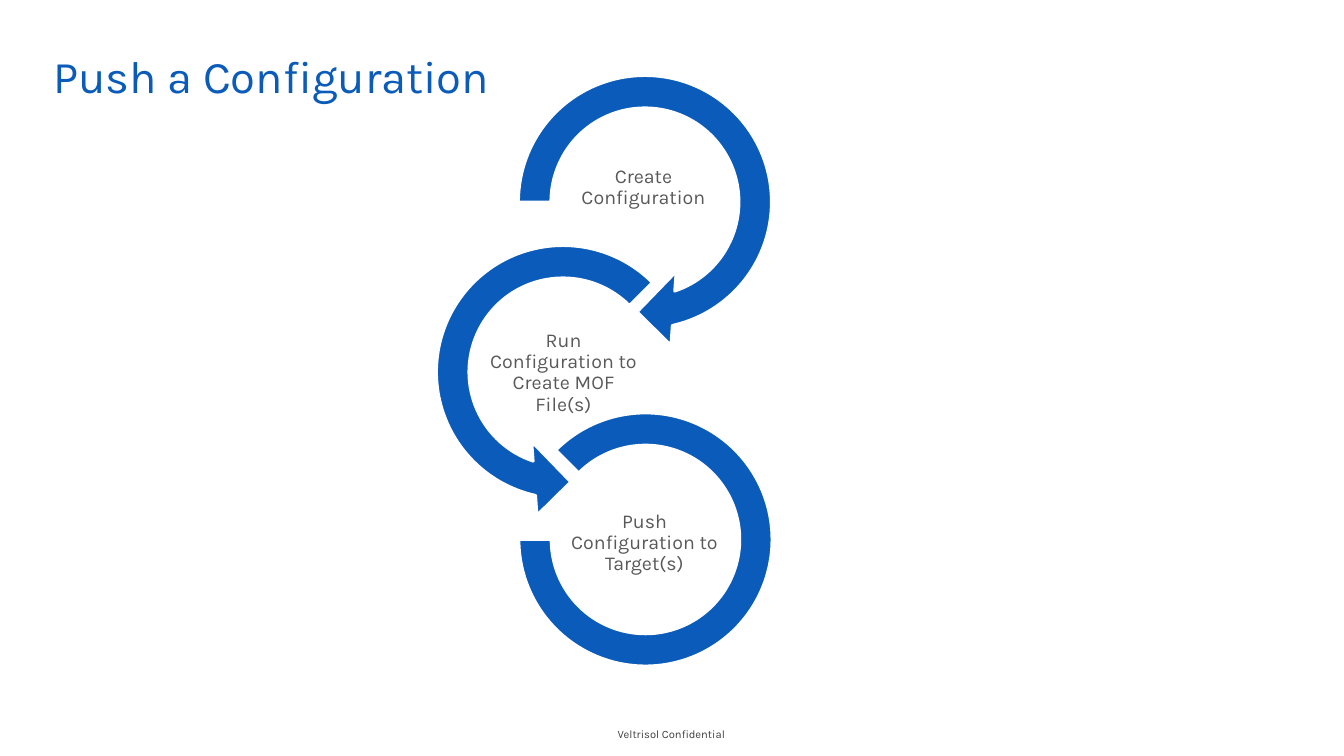
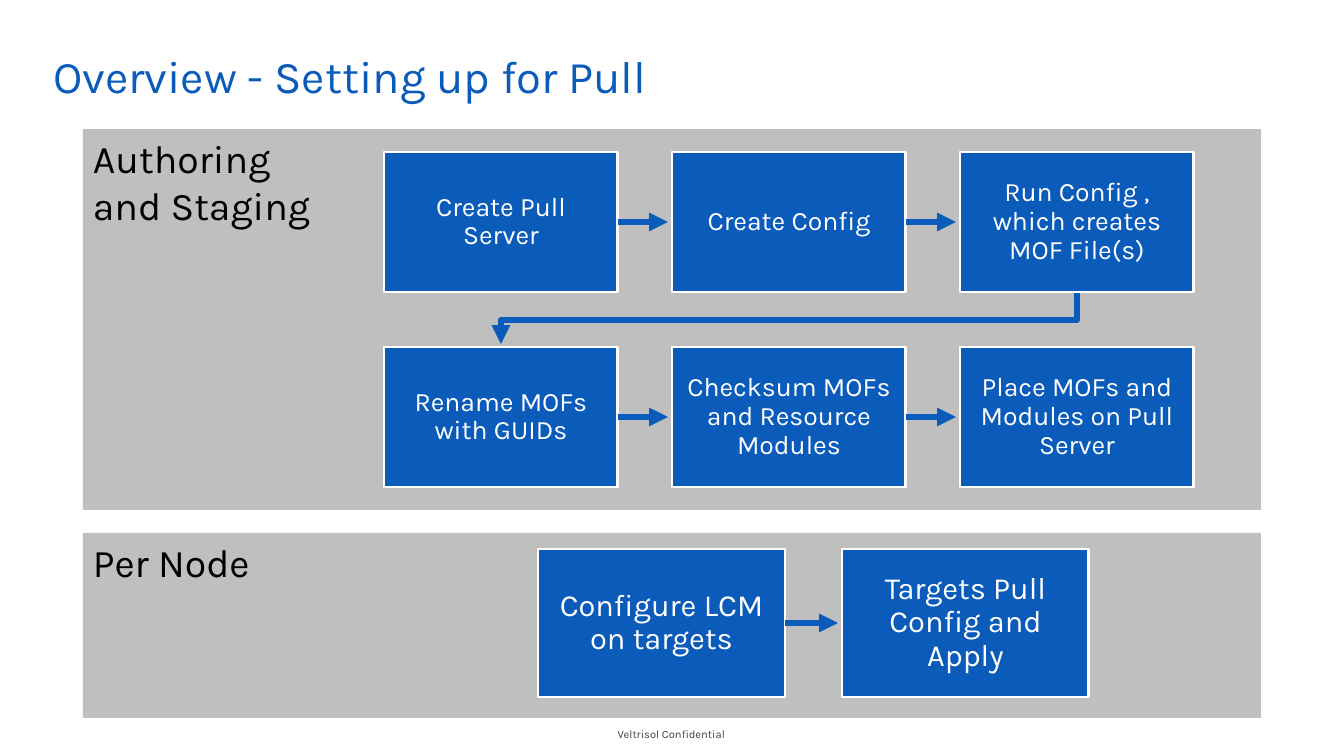
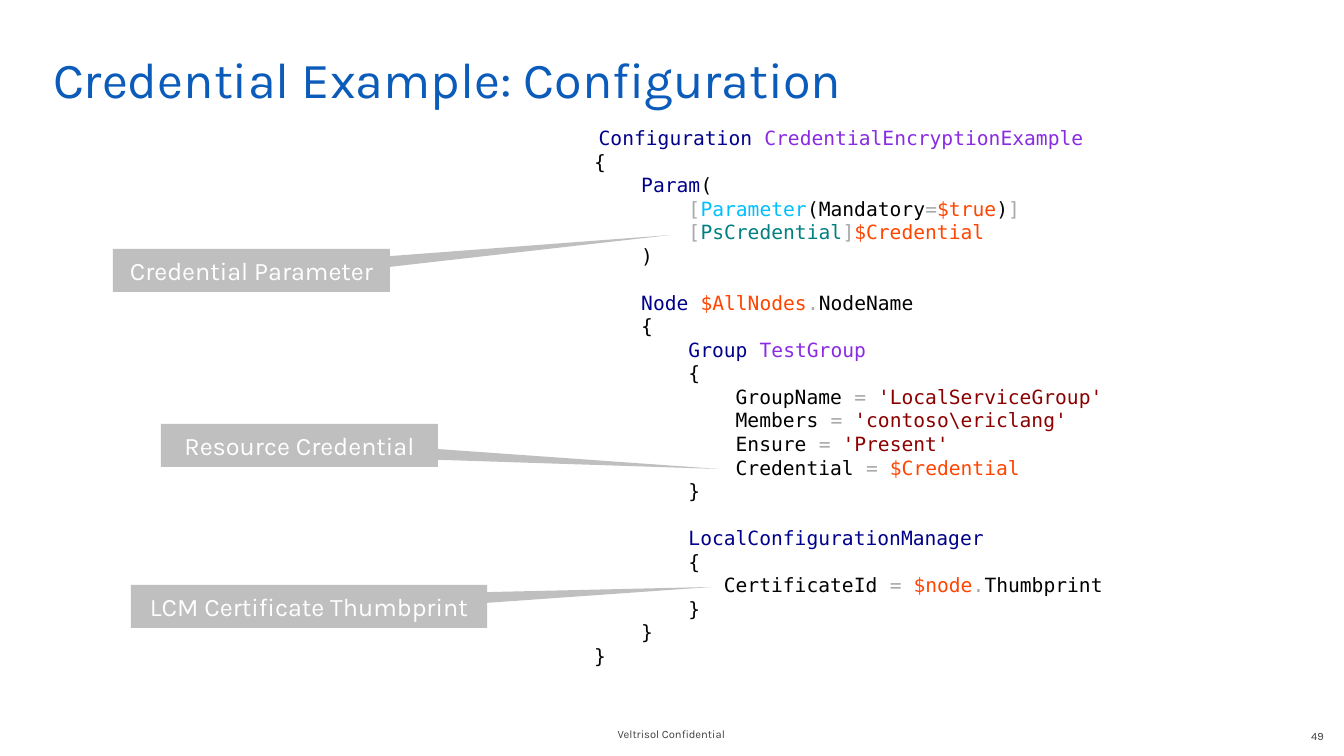
from lxml.etree import SubElement
from pptx import Presentation
from pptx.dml.color import RGBColor
from pptx.enum.shapes import MSO_CONNECTOR, MSO_SHAPE
from pptx.enum.text import MSO_ANCHOR, MSO_AUTO_SIZE, PP_ALIGN
from pptx.oxml.ns import qn
from pptx.util import Emu, Pt

EMU_PER_PX = 914400 / 100.8
SLIDE_WIDTH, SLIDE_HEIGHT = 1344, 756
FONT, CODE_FONT = "Karla", "DejaVu Sans Mono"
BLUE, GREY, WHITE, BLACK = "0A5BBA", "BFBFBF", "FFFFFF", "000000"
LABEL_GREY, FOOTER_GREY = "595959", "3F3F3F"
KEYWORD, NAME, PUNCTUATION, ATTRIBUTE = "00008B", "8A2BE2", "A9A9A9", "00BFFF"
TYPE, VARIABLE, STRING, PLAIN = "008080", "FF4500", "8B0000", BLACK
DEFAULT_INSETS = (10, 5, 10, 5)


def px(*lengths):
    return [Emu(round(length * EMU_PER_PX)) for length in lengths]


def rgb(value):
    return RGBColor.from_string(value)


def set_font(font, size, colour, name=FONT):
    font.name, font.size, font.color.rgb = name, Pt(size), rgb(colour)


def format_frame(frame, anchor, insets):
    frame.word_wrap = True
    frame.auto_size = MSO_AUTO_SIZE.NONE
    frame.vertical_anchor = anchor
    (frame.margin_left, frame.margin_top,
     frame.margin_right, frame.margin_bottom) = px(*insets)


def write(shape, text, size, colour, align=PP_ALIGN.CENTER, anchor=MSO_ANCHOR.MIDDLE,
          insets=DEFAULT_INSETS, spacing=None):
    """Fill a shape with text, one paragraph for each line."""
    frame = shape.text_frame
    format_frame(frame, anchor, insets)
    frame.text = text
    for paragraph in frame.paragraphs:
        paragraph.alignment = align
        if spacing:
            paragraph.line_spacing = spacing
        set_font(paragraph.font, size, colour)


def add_text(slide, box, text, size, colour, **options):
    write(slide.shapes.add_textbox(*px(*box)), text, size, colour, **options)


def add_block(slide, kind, box, fill, outline=None, adjustments=()):
    shape = slide.shapes.add_shape(kind, *px(*box))
    shape.shadow.inherit = False
    shape.fill.solid()
    shape.fill.fore_color.rgb = rgb(fill)
    if outline:
        shape.line.color.rgb = rgb(outline)
        shape.line.width = Pt(2)
    else:
        shape.line.fill.background()
    for index, value in enumerate(adjustments):
        shape.adjustments[index] = value
    return shape


def format_arrow(line):
    line.color.rgb = rgb(BLUE)
    line.width = Pt(4.5)
    SubElement(line._get_or_add_ln(), qn("a:tailEnd"), type="triangle")


def add_arrow(slide, left, y, length):
    arrow = slide.shapes.add_connector(
        MSO_CONNECTOR.STRAIGHT, *px(left, y, left + length, y))
    format_arrow(arrow.line)
    SubElement(arrow._element.spPr, qn("a:effectLst"))


def add_bent_arrow(slide, start, *points):
    builder = slide.shapes.build_freeform(*start, scale=EMU_PER_PX)
    builder.add_line_segments(points, close=False)
    arrow = builder.convert_to_shape()
    arrow.shadow.inherit = False
    arrow.fill.background()
    format_arrow(arrow.line)


def add_panel(slide, top, height, text):
    panel = add_block(slide, MSO_SHAPE.RECTANGLE, (83, top, 1178, height), GREY)
    write(panel, text, 28, BLACK, align=PP_ALIGN.LEFT, anchor=MSO_ANCHOR.TOP)


def add_step_row(slide, labels, left, top, width, height, gap, size, inset):
    """Draw equal boxes in a row with an arrow in each gap."""
    for index, label in enumerate(labels):
        x = left + index * (width + gap)
        box = add_block(slide, MSO_SHAPE.RECTANGLE, (x, top, width, height), BLUE, WHITE)
        write(box, label, size, WHITE, insets=[inset] * 4, spacing=0.9)
        if index:
            add_arrow(slide, x - gap, top + height // 2, gap - 4)


def add_callout(slide, left, top, width, tip, text):
    height = 43
    adjustments = ((tip[0] - left) / width - 0.5, (tip[1] - top) / height - 0.5)
    callout = add_block(slide, MSO_SHAPE.RECTANGULAR_CALLOUT,
                        (left, top, width, height), GREY, adjustments=adjustments)
    write(callout, text, 18, WHITE)


def add_code(slide, box, lines):
    """Write lines of (colour, text) tokens in the code font."""
    frame = slide.shapes.add_textbox(*px(*box)).text_frame
    format_frame(frame, MSO_ANCHOR.TOP, DEFAULT_INSETS)
    for index, tokens in enumerate(lines):
        paragraph = frame.paragraphs[0] if index == 0 else frame.add_paragraph()
        set_font(paragraph.font, 14, PLAIN, CODE_FONT)
        for colour, text in tokens:
            run = paragraph.add_run()
            run.text = text
            run.font.color.rgb = rgb(colour)
    frame.paragraphs[0].runs[0].font.name = FONT


def plain(text):
    return [(PLAIN, text)]


def assignment(target, *value):
    return [(PLAIN, target), (PUNCTUATION, " = "), *value]


def add_slide(presentation, title, title_size=32.4):
    slide = presentation.slides.add_slide(presentation.slide_layouts[5])
    heading = slide.shapes.title
    heading.left, heading.top, heading.width, heading.height = px(33, 33, 1243, 76)
    write(heading, title, title_size, BLUE, align=PP_ALIGN.LEFT,
          anchor=MSO_ANCHOR.TOP, insets=(20, 15, 10, 5))
    add_text(slide, (515, 714, 313, 40), "Veltrisol Confidential", 8, FOOTER_GREY,
             insets=(20, 5, 20, 5))
    return slide


def build_push_slide(presentation):
    slide = add_slide(presentation, "Push a Configuration")
    rings = [
        (MSO_SHAPE.CIRCULAR_ARROW, (498, 55, 294, 294), (0.11, 11.42, 45, 108, 0.125),
         (562, 147), "Create Configuration"),
        (MSO_SHAPE.LEFT_CIRCULAR_ARROW, (416, 225, 294, 294), (0.11, 11.42, 63, 189, 0.125),
         (482, 332), "Run Configuration to Create MOF File(s)"),
        (MSO_SHAPE.BLOCK_ARC, (519, 413, 253, 253), (135, 108, 0.127),
         (563, 502), "Push Configuration to Target(s)"),
    ]
    for kind, box, adjustments, label_corner, label in rings:
        add_block(slide, kind, box, BLUE, WHITE, adjustments)
        add_text(slide, (*label_corner, 163, 82), label, 14, LABEL_GREY,
                 insets=(1, 1, 1, 1), spacing=0.9)


def build_pull_slide(presentation):
    slide = add_slide(presentation, "Overview - Setting up for Pull")
    add_panel(slide, 533, 185, "Per Node")
    add_panel(slide, 129, 381, "Authoring\nand Staging")
    authoring_rows = [
        ["Create Pull Server", "Create Config", "Run Config , which creates MOF File(s)"],
        ["Rename MOFs with GUIDs", "Checksum MOFs and Resource Modules",
         "Place MOFs and Modules on Pull Server"],
    ]
    for index, labels in enumerate(authoring_rows):
        add_step_row(slide, labels, 384, 152 + index * 195, 234, 140, 54, 19, 15)
    add_bent_arrow(slide, (1077, 293), (1077, 320), (501, 320), (501, 344))
    add_step_row(slide, ["Configure LCM on targets", "Targets Pull Config and Apply"],
                 538, 549, 247, 148, 57, 22, 17)


def build_credential_slide(presentation):
    slide = add_slide(presentation, "Credential Example: Configuration", 36)
    add_text(slide, (1031, 716, 313, 40), "49", 8, FOOTER_GREY,
             align=PP_ALIGN.RIGHT, insets=(20, 5, 20, 5))
    add_code(slide, (584, 121, 672, 556), [
        [(WHITE, " "), (KEYWORD, "Configuration "), (NAME, "CredentialEncryptionExample")],
        plain("{"),
        [(KEYWORD, "    Param"), (PLAIN, "(")],
        [(PUNCTUATION, "        ["), (ATTRIBUTE, "Parameter"), (PLAIN, "(Mandatory"),
         (PUNCTUATION, "="), (VARIABLE, "$true"), (PLAIN, ")"), (PUNCTUATION, "]")],
        [(PUNCTUATION, "        ["), (TYPE, "PsCredential"), (PUNCTUATION, "]"),
         (VARIABLE, "$Credential")],
        plain("    )"),
        plain("    "),
        [(KEYWORD, "    Node "), (VARIABLE, "$AllNodes"), (PUNCTUATION, "."),
         (PLAIN, "NodeName")],
        plain("    {"),
        [(KEYWORD, "        Group "), (NAME, "TestGroup")],
        plain("        {"),
        assignment("            GroupName", (STRING, "'LocalServiceGroup'")),
        assignment("            Members", (STRING, "'contoso\\ericlang'")),
        assignment("            Ensure", (STRING, "'Present'")),
        assignment("            Credential", (VARIABLE, "$Credential")),
        plain("        }"),
        plain("        "),
        [(KEYWORD, "        LocalConfigurationManager")],
        plain("        {"),
        assignment("           CertificateId", (VARIABLE, "$node"), (PUNCTUATION, "."),
                   (PLAIN, "Thumbprint")),
        plain("        }"),
        plain("    }"),
        plain("}"),
    ])
    add_callout(slide, 113, 249, 277, (671, 235), "Credential Parameter")
    add_callout(slide, 161, 424, 277, (719, 469), "Resource Credential")
    add_callout(slide, 131, 585, 356, (712, 587), "LCM Certificate Thumbprint")


def main():
    presentation = Presentation()
    presentation.slide_width, presentation.slide_height = px(SLIDE_WIDTH, SLIDE_HEIGHT)
    build_push_slide(presentation)
    build_pull_slide(presentation)
    build_credential_slide(presentation)
    presentation.save("out.pptx")


if __name__ == "__main__":
    main()
